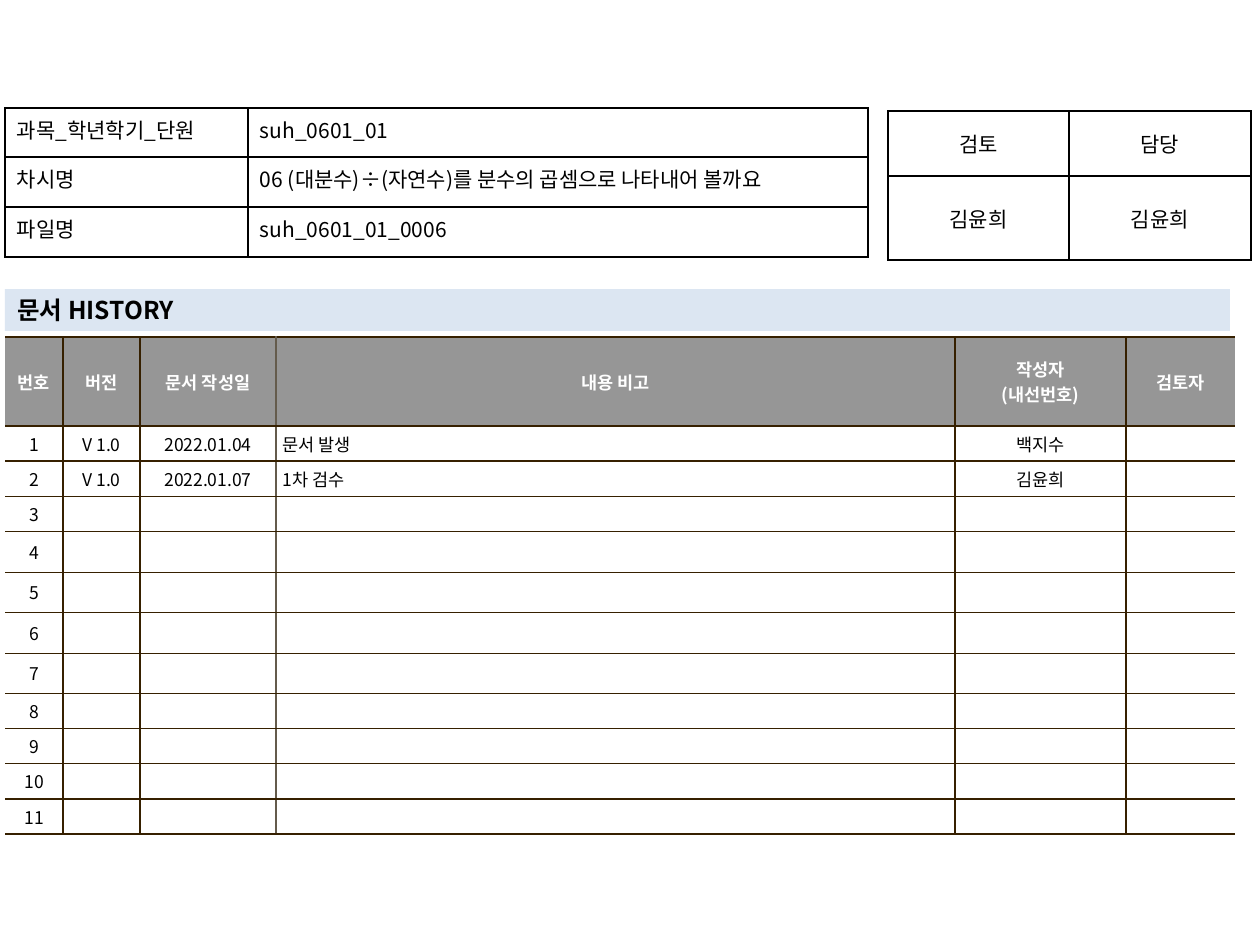
from lxml.etree import SubElement
from pptx import Presentation
from pptx.dml.color import RGBColor
from pptx.enum.shapes import MSO_SHAPE
from pptx.enum.text import MSO_ANCHOR, PP_ALIGN
from pptx.oxml.ns import qn
from pptx.util import Pt

PX = 914400 / 126
FONT = "Noto Sans CJK KR"
BLACK, WHITE = "000000", "FFFFFF"
BROWN, TAUPE = "362000", "645B4C"
GREY, PALE_BLUE = "969696", "DCE6F2"
LEFT, CENTER, JUSTIFY = PP_ALIGN.LEFT, PP_ALIGN.CENTER, PP_ALIGN.JUSTIFY


def px(n):
    return round(n * PX)


def rgb(color):
    return RGBColor.from_string(color)


def style_text(tf, size, color, align, bold=False):
    for p in tf.paragraphs:
        p.alignment = align
        p.font.size = Pt(size)
        p.font.bold = bold
        p.font.color.rgb = rgb(color)
        p.font.name = FONT
        ea = SubElement(p._p.pPr.find(qn("a:defRPr")), qn("a:ea"))
        ea.set("typeface", FONT)
        if not p.runs:
            p._p.get_or_add_endParaRPr().set("sz", str(size * 100))


def set_borders(cell, **colors):
    tcPr = cell._tc.get_or_add_tcPr()
    for side in "LRTB":
        color = colors.get(side)
        ln = SubElement(tcPr, qn(f"a:ln{side}"), w=str(Pt(1)))
        if color:
            fill = SubElement(ln, qn("a:solidFill"))
            SubElement(fill, qn("a:srgbClr"), val=color)
        else:
            SubElement(ln, qn("a:noFill"))


def set_margins(cell, x, y):
    cell.margin_left = cell.margin_right = px(x)
    cell.margin_top = cell.margin_bottom = px(y)


def add_grid(s, x, y, cols, rows):
    frame = s.shapes.add_table(len(rows), len(cols), px(x), px(y),
                               px(sum(cols)), px(sum(rows)))
    table = frame.table
    table.first_row = table.horz_banding = False
    for col, w in zip(table.columns, cols):
        col.width = px(w)
    for row, h in zip(table.rows, rows):
        row.height = px(h)
    return table


def add_form(s, x, y, cols, rows, texts, aligns, anchor):
    table = add_grid(s, x, y, cols, rows)
    for r, line in enumerate(texts):
        for c, text in enumerate(line):
            cell = table.cell(r, c)
            cell.text = text
            cell.vertical_anchor = anchor
            set_margins(cell, 12, 6)
            set_borders(cell, L=BLACK, R=BLACK, T=BLACK, B=BLACK)
            cell.fill.background()
            style_text(cell.text_frame, 12, BLACK, aligns[c])


def add_title_bar(s, x, y, w, h, text):
    bar = s.shapes.add_shape(MSO_SHAPE.RECTANGLE, px(x), px(y), px(w), px(h))
    bar.shadow.inherit = False
    bar.fill.solid()
    bar.fill.fore_color.rgb = rgb(PALE_BLUE)
    bar.line.fill.background()
    tf = bar.text_frame
    tf.text = text
    tf.word_wrap = True
    tf.vertical_anchor = MSO_ANCHOR.MIDDLE
    tf.margin_top = tf.margin_bottom = 0
    style_text(tf, 14, BLACK, LEFT, True)


def add_history(s, x, y, cols, rows, heads, entries):
    table = add_grid(s, x, y, cols, rows)
    note = heads.index("내용 비고")
    dividers = [None] + [BROWN] * (len(cols) - 1) + [None]
    dividers[note] = TAUPE
    lines = [heads]
    for n in range(1, len(rows)):
        lines.append([str(n)] + entries.get(n, [""] * (len(cols) - 1)))
    for r, line in enumerate(lines):
        head = r == 0
        for c, text in enumerate(line):
            cell = table.cell(r, c)
            cell.text = text
            cell.vertical_anchor = MSO_ANCHOR.MIDDLE
            set_margins(cell, 7, 5)
            set_borders(cell, L=dividers[c], R=dividers[c + 1], T=BROWN, B=BROWN)
            cell.fill.solid()
            cell.fill.fore_color.rgb = rgb(GREY if head else WHITE)
            align = LEFT if c == note and not head else CENTER
            style_text(cell.text_frame, 10, WHITE if head else BLACK, align, head)


def main():
    prs = Presentation()
    prs.slide_width, prs.slide_height = px(1260), px(945)
    s = prs.slides.add_slide(prs.slide_layouts[6])
    add_history(
        s, 5, 337, [58, 77, 136, 679, 171, 109],
        [89] + [35] * 3 + [41, 40] * 2 + [35] * 4,
        ["번호", "버전", "문서 작성일", "내용 비고", "작성자\n(내선번호)", "검토자"],
        {1: ["V 1.0", "2022.01.04", "문서 발생", "백지수", ""],
         2: ["V 1.0", "2022.01.07", "1차 검수", "김윤희", ""]})
    add_form(s, 888, 111, [181, 182], [65, 84],
             [["검토", "담당"], ["김윤희", "김윤희"]],
             [CENTER, CENTER], MSO_ANCHOR.MIDDLE)
    add_title_bar(s, 5, 289, 1225, 42, "문서 HISTORY")
    add_form(s, 5, 108, [243, 620], [49, 50, 50],
             [["과목_학년학기_단원", "suh_0601_01"],
              ["차시명", "06 (대분수)÷(자연수)를 분수의 곱셈으로 나타내어 볼까요"],
              ["파일명", "suh_0601_01_0006"]],
             [JUSTIFY, LEFT], MSO_ANCHOR.TOP)
    prs.save("out.pptx")


if __name__ == "__main__":
    main()
